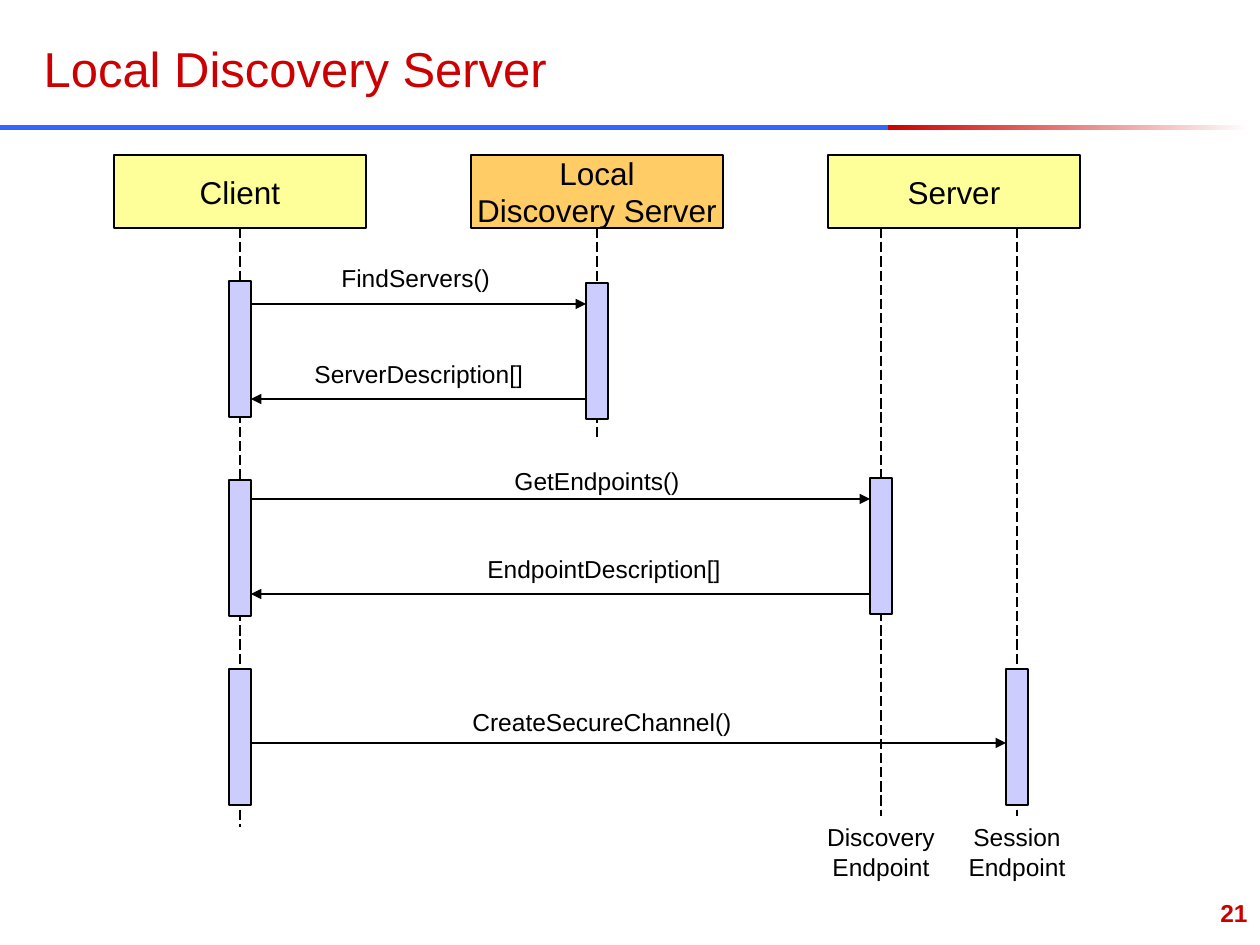
from lxml.etree import SubElement
from pptx import Presentation
from pptx.dml.color import RGBColor
from pptx.enum.dml import MSO_LINE
from pptx.enum.shapes import MSO_CONNECTOR, MSO_SHAPE
from pptx.enum.text import MSO_ANCHOR, MSO_AUTO_SIZE, PP_ALIGN
from pptx.oxml.ns import qn
from pptx.util import Emu, Pt

PX_PER_INCH = 126
BLACK, RED, BLUE, WHITE = "000000", "CC0000", "3366FF", "FFFFFF"
YELLOW, ORANGE, LAVENDER = "FFFF99", "FFCC66", "CCCCFF"

HEADER_TOP, HEADER_WIDTH, HEADER_HEIGHT = 155, 252, 73
HEADER_BOTTOM = HEADER_TOP + HEADER_HEIGHT
BAR_HALF_WIDTH, BAR_HEIGHT = 11, 136
CLIENT, LOCAL, DISCOVERY, SESSION = 240, 597, 881, 1017


def px(length):
    return Emu(round(length * 914400 / PX_PER_INCH))


def color(value):
    return RGBColor.from_string(value)


def write(frame, text, size, ink=BLACK, align=PP_ALIGN.LEFT, bold=False):
    frame.text = text
    for paragraph in frame.paragraphs:
        paragraph.alignment = align
        for run in paragraph.runs:
            run.font.name = "Arial"
            run.font.size = Pt(size)
            run.font.bold = bold
            run.font.color.rgb = color(ink)


def add_title(slide, text):
    title = slide.shapes.title
    title.left, title.top, title.width, title.height = px(31), px(32), px(861), px(73)
    frame = title.text_frame
    frame.auto_size = MSO_AUTO_SIZE.NONE
    frame.vertical_anchor = MSO_ANCHOR.TOP
    write(frame, text, 28, RED)


def add_rect(slide, left, top, width, height, fill, outlined=True):
    rect = slide.shapes.add_shape(
        MSO_SHAPE.RECTANGLE, px(left), px(top), px(width), px(height))
    rect.shadow.inherit = False
    rect.fill.solid()
    rect.fill.fore_color.rgb = color(fill)
    if outlined:
        rect.line.color.rgb = color(BLACK)
        rect.line.width = Pt(0.75)
    else:
        rect.line.fill.background()
    return rect


def add_title_rule(slide):
    fade = add_rect(slide, 888, 125, 363, 5, RED, outlined=False)
    fade.fill.gradient()
    fade.fill.gradient_angle = 0
    for stop, shade, position in zip(fade.fill.gradient_stops, (RED, WHITE), (0, 1)):
        stop.color.rgb = color(shade)
        stop.position = position
    add_rect(slide, 0, 125, 888, 5, BLUE, outlined=False)


def add_header(slide, center, text, fill):
    header = add_rect(slide, center - HEADER_WIDTH / 2, HEADER_TOP,
                      HEADER_WIDTH, HEADER_HEIGHT, fill)
    header.text_frame.word_wrap = False
    header.text_frame.vertical_anchor = MSO_ANCHOR.MIDDLE
    write(header.text_frame, text, 18, align=PP_ALIGN.CENTER)
    return header


def add_line(slide, x1, y1, x2, y2):
    line = slide.shapes.add_connector(
        MSO_CONNECTOR.STRAIGHT, px(x1), px(y1), px(x2), px(y2))
    line.line.color.rgb = color(BLACK)
    line.line.width = Pt(0.75)
    SubElement(line._element.spPr, qn("a:effectLst"))
    return line


def add_lifeline(slide, x, bottom, header=None):
    lifeline = add_line(slide, x, HEADER_BOTTOM, x, bottom)
    lifeline.line.dash_style = MSO_LINE.LONG_DASH
    if header is not None:
        lifeline.begin_connect(header, 2)


def add_activation(slide, x, top):
    add_rect(slide, x - BAR_HALF_WIDTH, top, 2 * BAR_HALF_WIDTH, BAR_HEIGHT, LAVENDER)


def add_message(slide, sender, receiver, y):
    inset = BAR_HALF_WIDTH if sender < receiver else -BAR_HALF_WIDTH
    message = add_line(slide, sender + inset, y, receiver - inset, y)
    SubElement(message.line._get_or_add_ln(), qn("a:tailEnd"), type="triangle")


def add_label(slide, left, top, width, height, text, wrap=False, **style):
    label = slide.shapes.add_textbox(px(left), px(top), px(width), px(height))
    label.text_frame.word_wrap = wrap
    if not wrap:
        label.text_frame.auto_size = MSO_AUTO_SIZE.SHAPE_TO_FIT_TEXT
    write(label.text_frame, text, 14, **style)


def main():
    presentation = Presentation()
    presentation.slide_width, presentation.slide_height = px(1260), px(945)
    slide = presentation.slides.add_slide(presentation.slide_layouts[5])

    add_title_rule(slide)
    add_title(slide, "Local Discovery Server")

    client = add_header(slide, CLIENT, "Client", YELLOW)
    local = add_header(slide, LOCAL, "Local\nDiscovery Server", ORANGE)
    add_header(slide, 954, "Server", YELLOW)

    add_lifeline(slide, CLIENT, 827, client)
    add_lifeline(slide, LOCAL, 438, local)
    add_lifeline(slide, DISCOVERY, 816)
    add_lifeline(slide, SESSION, 816)

    for x, top in [(CLIENT, 281), (LOCAL, 283), (CLIENT, 480),
                   (DISCOVERY, 478), (CLIENT, 669), (SESSION, 669)]:
        add_activation(slide, x, top)

    messages = [
        (CLIENT, LOCAL, 304, "FindServers()", 329, 257, 175),
        (LOCAL, CLIENT, 399, "ServerDescription[]", 302, 353, 236),
        (CLIENT, DISCOVERY, 499, "GetEndpoints()", 502, 460, 194),
        (DISCOVERY, CLIENT, 594, "EndpointDescription[]", 475, 548, 262),
        (CLIENT, SESSION, 743, "CreateSecureChannel()", 460, 701, 287),
    ]
    for sender, receiver, y, call, left, top, width in messages:
        add_message(slide, sender, receiver, y)
        add_label(slide, left, top, width, 43, call)

    for x, role in [(DISCOVERY, "Discovery"), (SESSION, "Session")]:
        add_label(slide, x - 74, 816, 148, 72, f"{role}\nEndpoint",
                  wrap=True, align=PP_ALIGN.CENTER)

    add_label(slide, 998, 892, 262, 53, "21", wrap=True,
              ink=RED, align=PP_ALIGN.RIGHT, bold=True)

    presentation.save("out.pptx")


if __name__ == "__main__":
    main()
